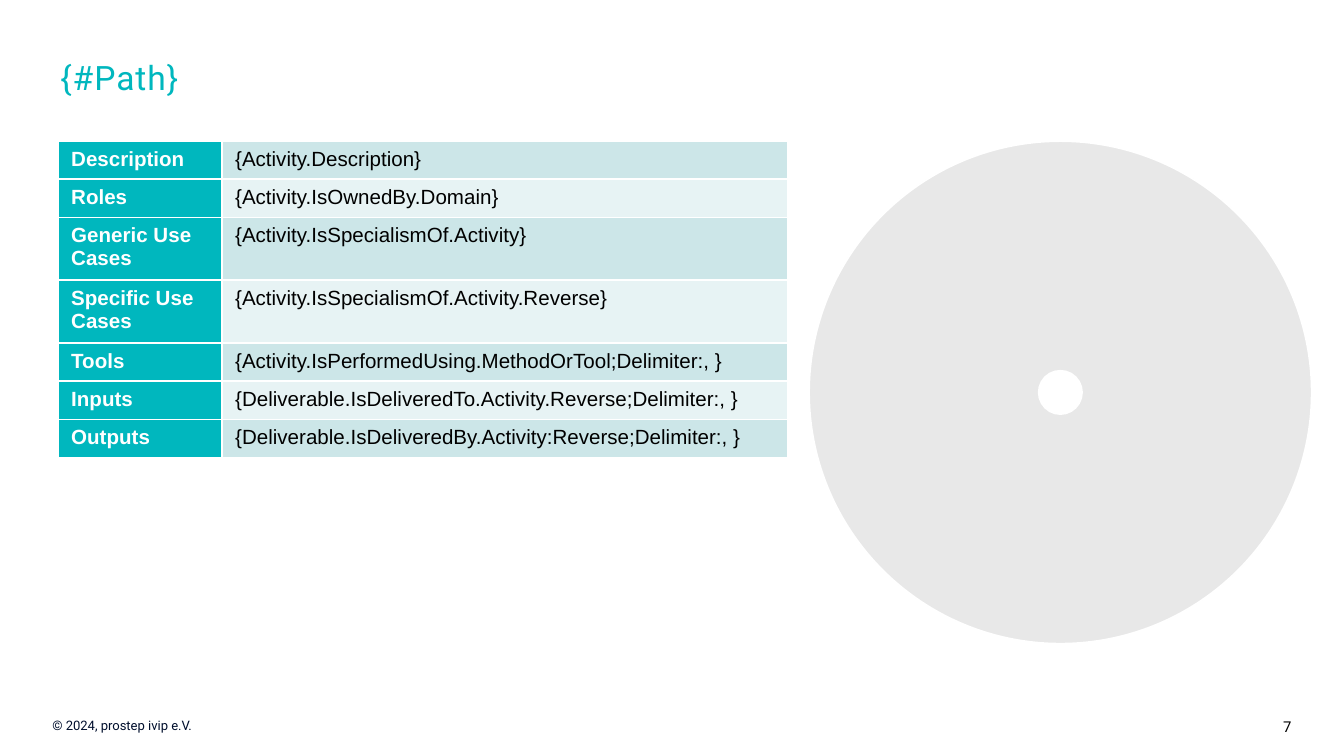
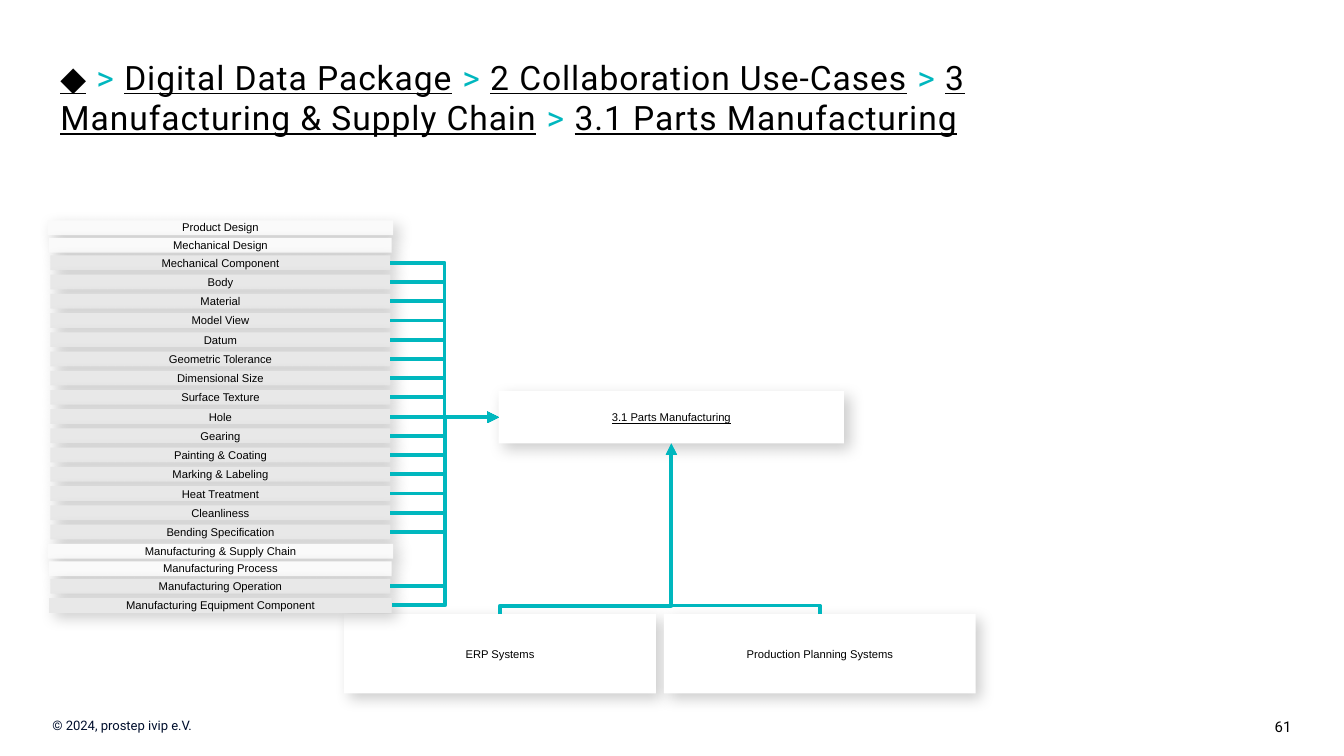
from dataclasses import dataclass

from lxml.etree import SubElement
from pptx import Presentation
from pptx.dml.color import RGBColor
from pptx.enum.shapes import MSO_CONNECTOR, MSO_SHAPE
from pptx.enum.text import MSO_ANCHOR, MSO_AUTO_SIZE, PP_ALIGN
from pptx.oxml.ns import qn
from pptx.util import Inches, Pt

ELBOW = MSO_CONNECTOR.ELBOW
RECTANGLE, DONUT = MSO_SHAPE.RECTANGLE, MSO_SHAPE.DONUT
TOP, MIDDLE = MSO_ANCHOR.TOP, MSO_ANCHOR.MIDDLE
LEFT, CENTER, RIGHT = PP_ALIGN.LEFT, PP_ALIGN.CENTER, PP_ALIGN.RIGHT
LEFT_SITE, RIGHT_SITE = 1, 3


@dataclass(frozen=True)
class Theme:
    teal: str = "00B7BE"
    black: str = "000000"
    white: str = "FFFFFF"
    navy: str = "000F2D"
    band_dark: str = "CCE6E8"
    band_light: str = "E7F3F4"
    grey: str = "E8E8E8"
    pale: str = "FAFAFA"
    heading: str = "Roboto"
    body: str = "Arial"
    title_size: int = 18
    table_size: int = 11
    number_size: int = 8
    footer_size: int = 7
    box_size: int = 6


THEME = Theme()

COPYRIGHT = "© 2024, prostep ivip e.V."
PATH_TITLE = "{#Path}"
PATH_PAGE, TRAIL_PAGE = "7", "61"

ACTIVITY_FIELDS = [
    ("Description", "{Activity.Description}"),
    ("Roles", "{Activity.IsOwnedBy.Domain}"),
    ("Generic Use Cases", "{Activity.IsSpecialismOf.Activity}"),
    ("Specific Use Cases", "{Activity.IsSpecialismOf.Activity.Reverse}"),
    ("Tools", "{Activity.IsPerformedUsing.MethodOrTool;Delimiter:, }"),
    ("Inputs", "{Deliverable.IsDeliveredTo.Activity.Reverse;Delimiter:, }"),
    ("Outputs", "{Deliverable.IsDeliveredBy.Activity:Reverse;Delimiter:, }"),
]

ACTIVITY = "3.1 Parts Manufacturing"
TRAIL = ["◆", "Digital Data Package", "2 Collaboration Use-Cases",
         "3 Manufacturing & Supply Chain", ACTIVITY]
TOOLS = ["ERP Systems", "Production Planning Systems"]
DELIVERABLES = [
    ("domain", ["Product Design"]),
    ("process", ["Mechanical Design"]),
    ("part", ["Mechanical Component", "Body", "Material", "Model View", "Datum",
              "Geometric Tolerance", "Dimensional Size", "Surface Texture", "Hole",
              "Gearing", "Painting & Coating", "Marking & Labeling",
              "Heat Treatment", "Cleanliness", "Bending Specification"]),
    ("domain", ["Manufacturing & Supply Chain"]),
    ("process", ["Manufacturing Process"]),
    ("part", ["Manufacturing Operation"]),
    ("resource", ["Manufacturing Equipment Component"]),
]
HEADER_LEVELS = ("domain", "process")
LEVEL_WIDTHS = {"domain": 2.57, "process": 2.55, "part": 2.53, "resource": 2.55}

SLIDE_W = 10
SLIDE_H = SLIDE_W * 9 / 16
TITLE_AREA = (0.35, 0.37, 7.49, 0.68)
FOOTER_TOP, FOOTER_INSET = 5.29, 0.39
NUMBER_W = 0.91
TABLE_LEFT, TABLE_TOP, TABLE_H = 0.43, 1.05, 2.35
TABLE_COLUMNS, FIRST_ROW, TABLE_ROW = (1.22, 4.21), 0.19, 0.27
DONUT_LEFT, DONUT_SIZE, DONUT_RING = 6.02, 3.74, 0.457
ACTIVITY_AREA = (3.71, 2.91, 2.57, 0.39)
TOOL_LEFT, TOOL_TOP, TOOL_W, TOOL_H, TOOL_PITCH = 2.56, 4.57, 2.32, 0.59, 2.38
STACK_CENTER, STACK_TOP, STACK_LAST = 1.64, 1.64, 4.45
STACK_ROW, HEADER_PITCH = 0.11, 0.13


def inches(*lengths):
    return [Inches(length) for length in lengths]


def rgb(colour):
    return RGBColor.from_string(colour)


def set_font(font, name, size, colour=None, bold=None, underline=None):
    font.name, font.size = name, Pt(size)
    font.bold, font.underline = bold, underline
    if colour:
        font.color.rgb = rgb(colour)


def set_margins(frame, left, top, right, bottom):
    frame.margin_left, frame.margin_top = inches(left, top)
    frame.margin_right, frame.margin_bottom = inches(right, bottom)


def add_footer_text(slide, area, words, insets, align, size, colour):
    frame = slide.shapes.add_textbox(*inches(*area)).text_frame
    frame.word_wrap = True
    set_margins(frame, *insets)
    line = frame.paragraphs[0]
    line.text, line.alignment = words, align
    set_font(line.font, THEME.heading, size, colour)


def add_page(deck, layout, title_runs, page):
    slide = deck.slides.add_slide(layout)
    add_footer_text(slide, (SLIDE_W - NUMBER_W, FOOTER_TOP, NUMBER_W, 0.24), page,
                    (0.1, 0.05, FOOTER_INSET, 0.05), RIGHT,
                    THEME.number_size, THEME.black)
    add_footer_text(slide, (0, FOOTER_TOP, 2.4, 0.22), COPYRIGHT,
                    (FOOTER_INSET, 0.05, 0.1, 0.05), LEFT,
                    THEME.footer_size, THEME.navy)
    frame = slide.shapes.title.text_frame
    frame.vertical_anchor, frame.auto_size = TOP, MSO_AUTO_SIZE.NONE
    frame.word_wrap = True
    heading = frame.paragraphs[0]
    heading.alignment = LEFT
    set_font(heading.font, THEME.heading, THEME.title_size)
    heading._p.pPr.find(qn("a:defRPr")).set("spc", "50")
    for words, is_crumb in title_runs:
        run = heading.add_run()
        run.text = words
        run.font.underline = is_crumb
        run.font.color.rgb = rgb(THEME.black if is_crumb else THEME.teal)
    return slide


def add_borders(cell, colour):
    properties = cell._tc.get_or_add_tcPr()
    for position, side in enumerate(("a:lnL", "a:lnR", "a:lnT", "a:lnB")):
        border = SubElement(properties, qn(side), w=str(Pt(1)))
        SubElement(SubElement(border, qn("a:solidFill")), qn("a:srgbClr"), val=colour)
        properties.insert(position, border)


def add_field_table(slide):
    holder = slide.shapes.add_table(
        len(ACTIVITY_FIELDS), len(TABLE_COLUMNS),
        *inches(TABLE_LEFT, TABLE_TOP, sum(TABLE_COLUMNS), TABLE_H))
    table = holder.table
    table.first_row = table.horz_banding = False
    for column, width in zip(table.columns, TABLE_COLUMNS):
        column.width = Inches(width)
    for row, field in enumerate(ACTIVITY_FIELDS):
        table.rows[row].height = Inches(TABLE_ROW if row else FIRST_ROW)
        band = THEME.band_light if row % 2 else THEME.band_dark
        looks = [(THEME.teal, THEME.white, True), (band, THEME.black, False)]
        for column, (words, (fill, colour, bold)) in enumerate(zip(field, looks)):
            cell = table.cell(row, column)
            cell.fill.solid()
            cell.fill.fore_color.rgb = rgb(fill)
            add_borders(cell, THEME.white)
            line = cell.text_frame.paragraphs[0]
            line.text = words
            set_font(line.font, THEME.body, THEME.table_size, colour, bold)
    holder.height = Inches(TABLE_H)


def add_donut(slide):
    donut = slide.shapes.add_shape(
        DONUT, *inches(DONUT_LEFT, TABLE_TOP, DONUT_SIZE, DONUT_SIZE))
    donut.adjustments[0] = DONUT_RING
    donut.shadow.inherit = False
    donut.fill.solid()
    donut.fill.fore_color.rgb = rgb(THEME.grey)
    donut.line.color.rgb, donut.line.width = rgb(THEME.white), Pt(1)


def add_box(slide, area, words, fill, anchor=MIDDLE, inset=0, underline=None):
    box = slide.shapes.add_shape(RECTANGLE, *inches(*area))
    box.fill.solid()
    box.fill.fore_color.rgb = rgb(fill)
    box.line.fill.background()
    box.shadow.inherit = False
    effects = box._element.spPr.find(qn("a:effectLst"))
    shadow = SubElement(effects, qn("a:outerShdw"), blurRad=str(Pt(8)),
                        dist=str(Pt(4)), dir="2700000", algn="tl", rotWithShape="0")
    shade = SubElement(shadow, qn("a:srgbClr"), val=THEME.black)
    SubElement(shade, qn("a:alpha"), val="20000")
    frame = box.text_frame
    frame.word_wrap, frame.vertical_anchor = True, anchor
    set_margins(frame, inset, inset, inset, inset)
    line = frame.paragraphs[0]
    line.text, line.alignment = words, CENTER
    set_font(line.font, THEME.body, THEME.box_size, THEME.black, underline=underline)
    return box


def add_arrow(slide, start_x, start_y, end_x, end_y):
    arrow = slide.shapes.add_connector(ELBOW, *inches(start_x, start_y, end_x, end_y))
    arrow.line.color.rgb, arrow.line.width = rgb(THEME.teal), Pt(2)
    properties = arrow._element.spPr
    SubElement(properties.find(qn("a:ln")), qn("a:tailEnd"), type="triangle")
    SubElement(properties, qn("a:effectLst"))
    return arrow


def add_rising_arrow(slide, start_x, start_y, end_x, end_y, bend):
    center_x, center_y = (start_x + end_x) / 2, (start_y + end_y) / 2
    half_rise, half_run = (start_y - end_y) / 2, (start_x - end_x) / 2
    arrow = add_arrow(slide, center_x - half_rise, center_y + half_run,
                      center_x + half_rise, center_y - half_run)
    properties = arrow._element.spPr
    properties.find(qn("a:xfrm")).set("rot", str(270 * 60000))
    guides = properties.find(qn("a:prstGeom")).find(qn("a:avLst"))
    SubElement(guides, qn("a:gd"), name="adj1", fmla=f"val {round(bend * 100000)}")


def add_tools(slide):
    left, top, width, height = ACTIVITY_AREA
    for index, tool in enumerate(TOOLS):
        tool_left = TOOL_LEFT + index * TOOL_PITCH
        add_box(slide, (tool_left, TOOL_TOP, TOOL_W, TOOL_H), tool, THEME.white)
        add_rising_arrow(slide, tool_left + TOOL_W / 2, TOOL_TOP,
                         left + width / 2, top + height, 0.05)


def add_deliverables(slide, activity):
    rows = [(level, label) for level, labels in DELIVERABLES for label in labels]
    headers = sum(level in HEADER_LEVELS for level, _ in rows)
    part_pitch = ((STACK_LAST - STACK_TOP - headers * HEADER_PITCH)
                  / (len(rows) - headers - 1))
    top = STACK_TOP
    for level, label in rows:
        width = LEVEL_WIDTHS[level]
        area = (STACK_CENTER - width / 2, top, width, STACK_ROW)
        if level in HEADER_LEVELS:
            add_box(slide, area, label, THEME.pale, TOP)
            top += HEADER_PITCH
        else:
            deliverable = add_box(slide, area, label, THEME.grey)
            arrow = add_arrow(slide, 0, 0, 1, 1)
            arrow.begin_connect(deliverable, RIGHT_SITE)
            arrow.end_connect(activity, LEFT_SITE)
            top += part_pitch


def main():
    deck = Presentation()
    deck.slide_width, deck.slide_height = inches(SLIDE_W, SLIDE_H)
    layout = deck.slide_layouts.get_by_name("Title Only")
    title = layout.placeholders[0]
    title.left, title.top, title.width, title.height = inches(*TITLE_AREA)

    path_slide = add_page(deck, layout, [(PATH_TITLE, False)], PATH_PAGE)
    add_field_table(path_slide)
    add_donut(path_slide)

    trail_runs = [(TRAIL[0], True)]
    for crumb in TRAIL[1:]:
        trail_runs += [(" > ", False), (crumb, True)]
    trail_slide = add_page(deck, layout, trail_runs, TRAIL_PAGE)
    activity = add_box(trail_slide, ACTIVITY_AREA, ACTIVITY, THEME.white,
                       inset=0.04, underline=True)
    add_tools(trail_slide)
    add_deliverables(trail_slide, activity)
    deck.save("out.pptx")


if __name__ == "__main__":
    main()
